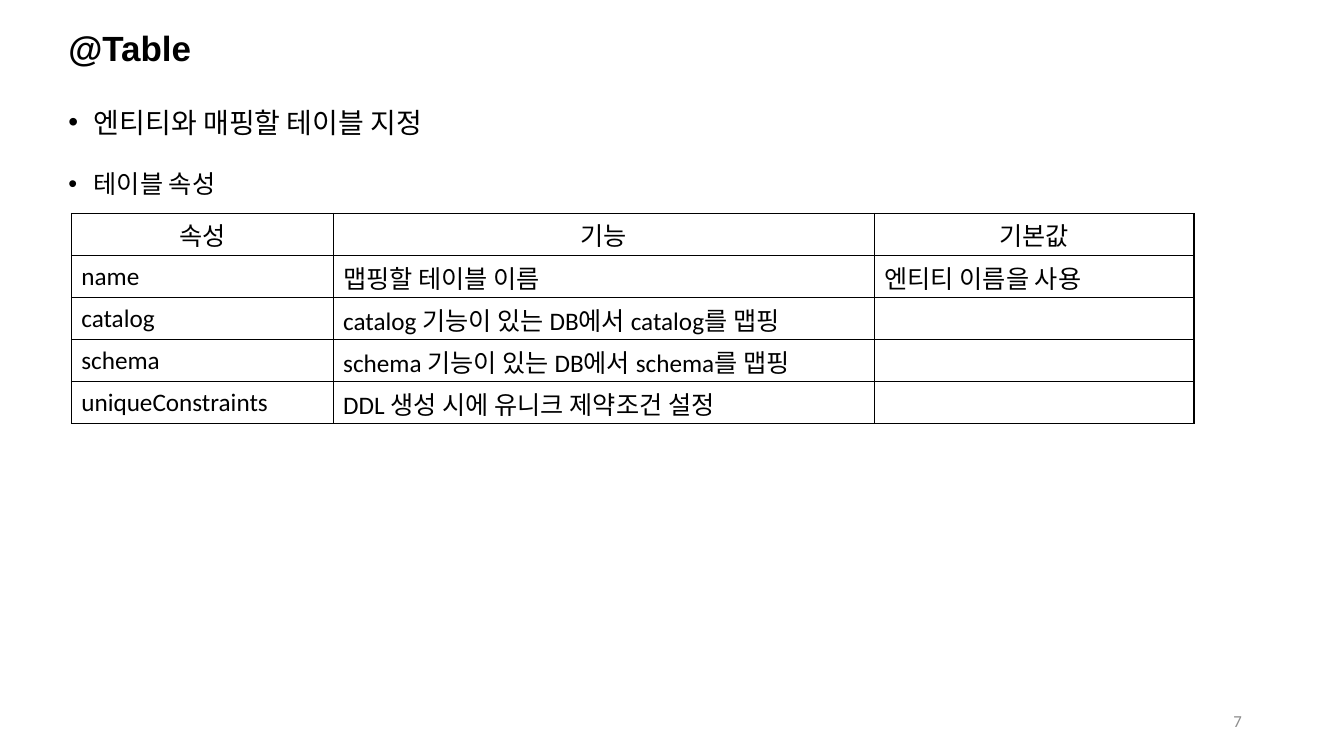
from dataclasses import dataclass

from lxml.etree import SubElement
from pptx import Presentation
from pptx.dml.color import RGBColor as Rgb
from pptx.enum.text import MSO_ANCHOR as Anchor, MSO_AUTO_SIZE as Fit, PP_ALIGN as Align
from pptx.oxml import parse_xml
from pptx.oxml.ns import nsdecls, qn
from pptx.util import Cm, Pt

# Content
TITLE = "@Table"
POINTS = [("엔티티와 매핑할 테이블 지정", 20), ("테이블 속성", 18)]
ROWS = [
    ("속성", "기능", "기본값"),
    ("name", "맵핑할 테이블 이름", "엔티티 이름을 사용"),
    ("catalog", "catalog 기능이 있는 DB에서 catalog를 맵핑", ""),
    ("schema", "schema 기능이 있는 DB에서 schema를 맵핑", ""),
    ("uniqueConstraints", "DDL 생성 시에 유니크 제약조건 설정", ""),
]
WIDTHS = (6.6, 13.64, 8.05)
ROW_H = 1.06
PAGE = "7"


@dataclass(frozen=True)
class Theme:
    ink: str = "000000"
    gray: str = "8C8C8C"
    head: str = "Arial"
    body: str = "Calibri"
    title: int = 25
    cell: int = 18
    small: int = 12
    rule: float = 1


LOOK = Theme()


def write(para, text, size, font=LOOK.head, color=LOOK.ink, bold=False,
          align=Align.LEFT, line=None, before=0):
    """Put one formatted run of text in a paragraph."""
    para.alignment = align
    para.space_before = Pt(before)
    if line:
        para.line_spacing = line
    run = para.add_run()
    run.text = text
    run.font.size, run.font.name, run.font.bold = Pt(size), font, bold
    run.font.color.rgb = Rgb.from_string(color)


def place(shape, left, top, width, height, anchor):
    """Move a text shape and set up its frame."""
    shape.left, shape.top = Cm(left), Cm(top)
    shape.width, shape.height = Cm(width), Cm(height)
    frame = shape.text_frame
    frame.word_wrap, frame.auto_size = True, Fit.NONE
    frame.vertical_anchor = anchor
    return frame


def bullet(para):
    """Give a paragraph a round bullet with a hanging indent."""
    props = para._p.get_or_add_pPr()
    props.set("marL", str(Cm(0.64)))
    props.set("indent", str(Cm(-0.64)))
    SubElement(props, qn("a:buFont"), typeface=LOOK.head)
    SubElement(props, qn("a:buChar"), char="•")


def frame_cell(cell):
    """Draw a thin line on all four sides of a cell."""
    props = cell._tc.get_or_add_tcPr()
    for spot, side in enumerate("LRTB"):
        props.insert(spot, parse_xml(
            f'<a:ln{side} {nsdecls("a")} w="{Pt(LOOK.rule)}"><a:solidFill>'
            f'<a:srgbClr val="{LOOK.ink}"/></a:solidFill></a:ln{side}>'))


def main():
    deck = Presentation()
    deck.slide_width, deck.slide_height = Cm(33.87), Cm(19.05)
    slide = deck.slides.add_slide(deck.slide_layouts[1])

    # Title
    frame = place(slide.shapes.title, 1.47, 0.46, 29.21, 0.97, Anchor.MIDDLE)
    write(frame.paragraphs[0], TITLE, LOOK.title, bold=True, line=1.5)

    # Bullet list
    frame = place(slide.placeholders[1], 1.47, 2.11, 31.47, 16.36, Anchor.TOP)
    for num, (text, size) in enumerate(POINTS):
        para = frame.add_paragraph() if num else frame.paragraphs[0]
        bullet(para)
        write(para, text, size, line=1.5, before=10 if num else 0)

    # Page number
    box = slide.shapes.add_textbox(0, 0, 0, 0)
    frame = place(box, 23.93, 17.65, 7.62, 1.02, Anchor.MIDDLE)
    write(frame.paragraphs[0], PAGE, LOOK.small, font=LOOK.body,
          color=LOOK.gray, align=Align.RIGHT)

    # Attribute table
    table = slide.shapes.add_table(
        len(ROWS), len(WIDTHS), Cm(1.8), Cm(5.38),
        Cm(sum(WIDTHS)), Cm(ROW_H * len(ROWS))).table
    table.first_row = table.horz_banding = False
    for col, width in zip(table.columns, WIDTHS):
        col.width = Cm(width)
    for num, (row, texts) in enumerate(zip(table.rows, ROWS)):
        row.height = Cm(ROW_H)
        for cell, text in zip(row.cells, texts):
            cell.fill.background()
            frame_cell(cell)
            cell.vertical_anchor = Anchor.MIDDLE
            cell.margin_left = Cm(0.25 if num else 0.1)
            cell.margin_right = Cm(0.1)
            cell.margin_top, cell.margin_bottom = Cm(0.07), Cm(0.05)
            if text:
                write(cell.text_frame.paragraphs[0], text, LOOK.cell,
                      font=LOOK.body, align=Align.LEFT if num else Align.CENTER)

    deck.save("out.pptx")


if __name__ == "__main__":
    main()
